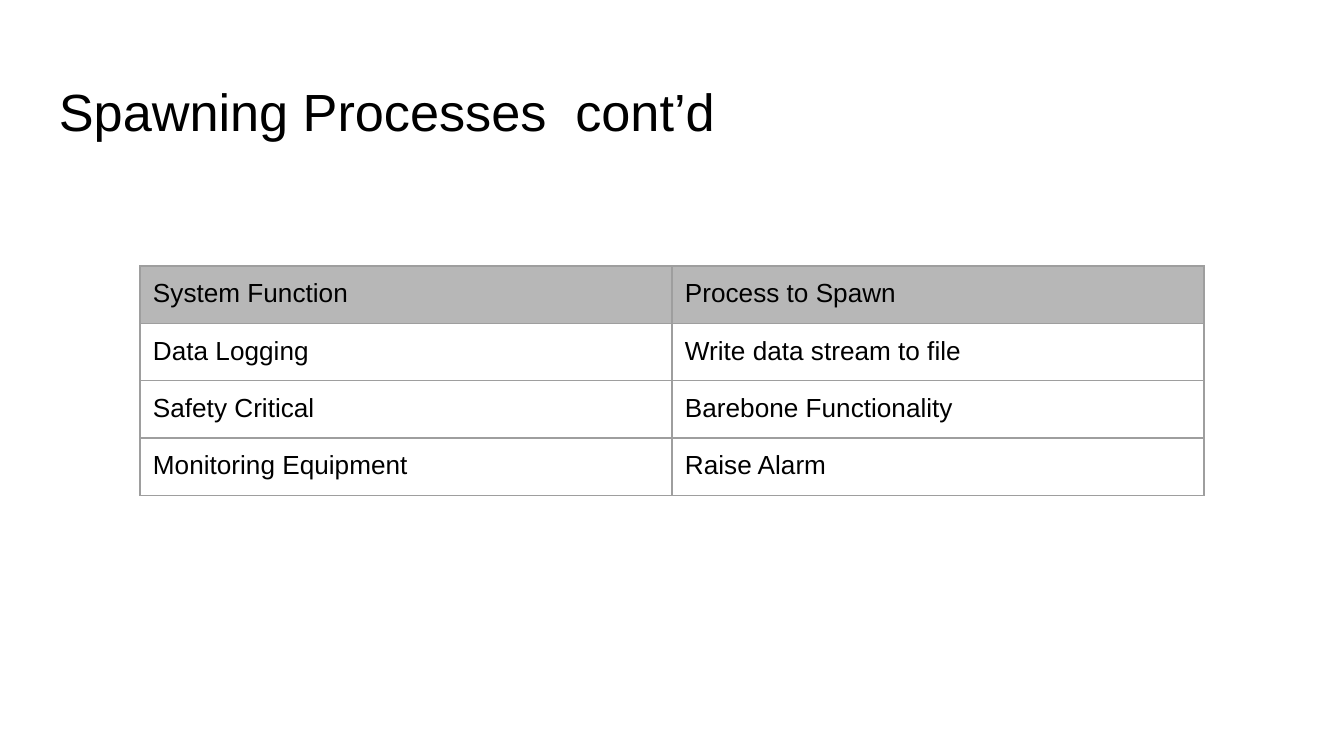
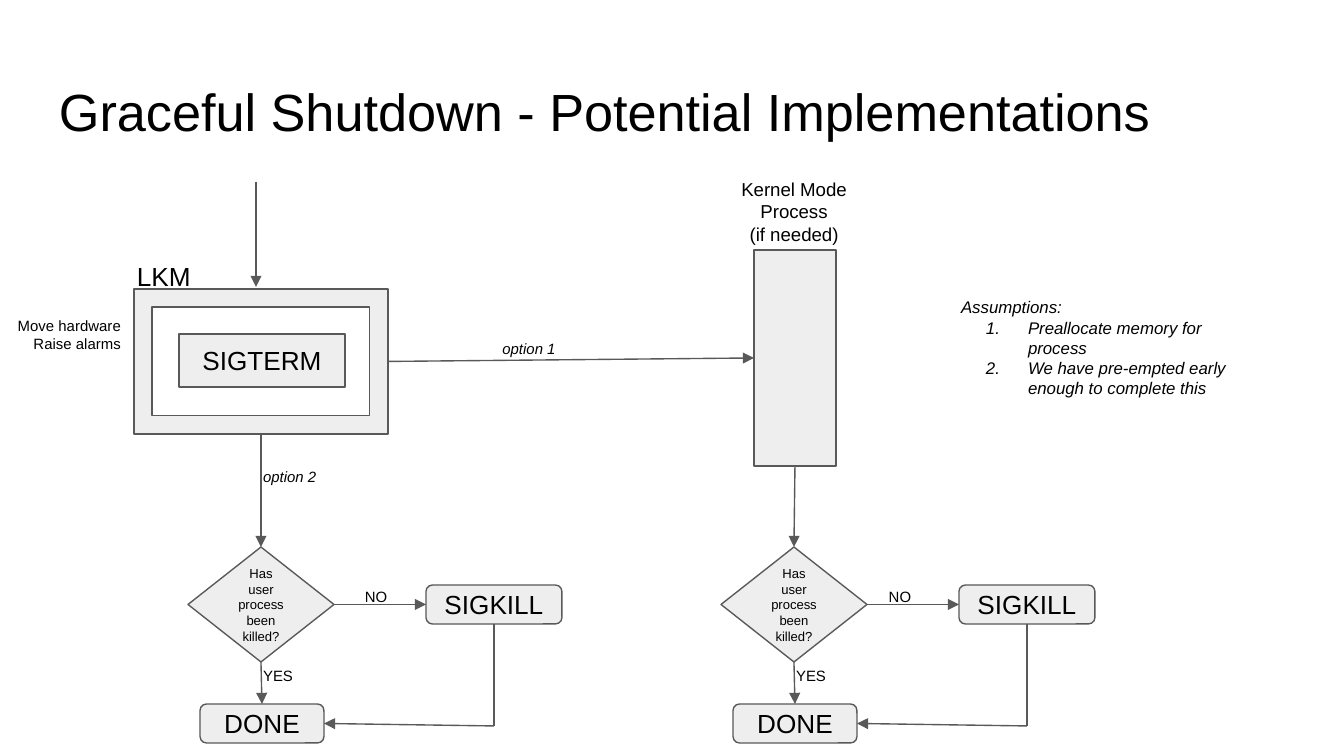
"""Builds two slides: a table of processes to spawn and a shutdown flowchart."""
from lxml.etree import SubElement
from pptx import Presentation
from pptx.dml.color import RGBColor
from pptx.enum.shapes import MSO_CONNECTOR, MSO_SHAPE
from pptx.enum.text import MSO_ANCHOR, PP_ALIGN
from pptx.oxml import parse_xml
from pptx.oxml.ns import nsdecls, qn
from pptx.util import Emu, Pt

COLORS = {"text": "000000", "fill": "EEEEEE", "line": "595959",
          "head": "B7B7B7", "grid": "9E9E9E"}
FONT = "Arial"
SIZE = (1344, 756)
INSET = 13
TITLE = (46, 66, 1253, 85)
LEFT, CENTER, RIGHT = PP_ALIGN.LEFT, PP_ALIGN.CENTER, PP_ALIGN.RIGHT
TOP, MID = MSO_ANCHOR.TOP, MSO_ANCHOR.MIDDLE
NORTH, WEST, SOUTH, EAST = range(4)

SPAWN = "Spawning Processes  cont’d"
ROWS = [
    ("System Function", "Process to Spawn"),
    ("Data Logging", "Write data stream to file"),
    ("Safety Critical", "Barebone Functionality"),
    ("Monitoring Equipment", "Raise Alarm"),
]
GRID = (140, 266)
CELL = (532, 56)

SHUT = "Graceful Shutdown - Potential Implementations"
LABELS = [
    (["LKM"], (124, 247, 87, 32), 14, LEFT, TOP, False),
    (["Kernel Mode", "Process", "(if needed)"], (698, 173, 192, 77), 10, CENTER, MID, False),
    (["Move hardware", "Raise alarms"], (4, 304, 130, 85), 8, RIGHT, TOP, False),
    (["option 1"], (484, 333, 90, 32), 8, CENTER, MID, True),
    (["option 2"], (250, 461, 90, 32), 8, LEFT, MID, True),
]
NOTES = ["Assumptions:", "Preallocate memory for process",
         "We have pre-empted early enough to complete this"]
NOTE_BOX = (948, 284, 297, 253)
FRAME = (134, 289, 254, 145)
TERM = (179, 334, 166, 53)
KERNEL = (754, 250, 82, 216)
ENTRY = ((256, 182), (256, 287))
ASK = (188, 547, 146, 115)
KILL = (426, 585, 136, 39)
DONE = (200, 704, 124, 39)
YES = (250, 660, 90, 32)
NO = (331, 581, 90, 32)
TURN = (494, 726)
BRANCH = 533
NO_STEP = 524


def px(n):
    return Emu(round(n * 914400 / 134.4))


def color(name):
    return RGBColor.from_string(COLORS[name])


def move(box, step):
    return (box[0] + step, *box[1:])


def style(frame, anchor):
    frame.word_wrap = True
    frame.vertical_anchor = anchor
    frame.margin_left = frame.margin_right = px(INSET)
    frame.margin_top = frame.margin_bottom = px(INSET)


def write(para, text, size, align=LEFT, slant=False):
    para.alignment = align
    run = para.add_run()
    run.text = text
    font = run.font
    font.name, font.size, font.italic = FONT, Pt(size), slant
    font.color.rgb = color("text")


def fill_text(frame, lines, size, align=LEFT, anchor=TOP, slant=False):
    style(frame, anchor)
    for i, line in enumerate(lines):
        para = frame.add_paragraph() if i else frame.paragraphs[0]
        write(para, line, size, align, slant)


def label(slide, lines, box, *look):
    frame = slide.shapes.add_textbox(*map(px, box)).text_frame
    fill_text(frame, lines, *look)
    return frame


def node(slide, kind, box, text="", size=14, adjust=None):
    shape = slide.shapes.add_shape(kind, *map(px, box))
    shape.shadow.inherit = False
    shape.fill.solid()
    shape.fill.fore_color.rgb = color("fill")
    shape.line.color.rgb = color("line")
    shape.line.width = Pt(0.75)
    if adjust:
        shape.adjustments[0] = adjust
    if text:
        fill_text(shape.text_frame, [text], size, CENTER, MID)
    return shape


def link(slide, start, end, arrow=True):
    ends = [(0, 0) if hasattr(e[0], "shape_id") else e for e in (start, end)]
    line = slide.shapes.add_connector(
        MSO_CONNECTOR.STRAIGHT, *(px(n) for e in ends for n in e))
    for spot, join in ((start, line.begin_connect), (end, line.end_connect)):
        if hasattr(spot[0], "shape_id"):
            join(*spot)
    line.line.color.rgb = color("line")
    line.line.width = Pt(0.75)
    props = line._element.spPr
    if arrow:
        SubElement(props.find(qn("a:ln")), qn("a:tailEnd"), type="triangle")
    SubElement(props, qn("a:effectLst"))


def edge(cell):
    props = cell._tc.get_or_add_tcPr()
    for i, side in enumerate("LRTB"):
        props.insert(i, parse_xml(
            f'<a:ln{side} {nsdecls("a")} w="9525"><a:solidFill>'
            f'<a:srgbClr val="{COLORS["grid"]}"/></a:solidFill></a:ln{side}>'))


def add_slide(deck, title):
    slide = deck.slides.add_slide(deck.slide_layouts[6])
    label(slide, [title], TITLE, 28)
    return slide


def spawn_slide(deck):
    slide = add_slide(deck, SPAWN)
    wide, high = CELL
    rows, cols = len(ROWS), len(ROWS[0])
    table = slide.shapes.add_table(
        rows, cols, *map(px, (*GRID, cols * wide, rows * high))).table
    table.first_row = table.horz_banding = False
    for col in table.columns:
        col.width = px(wide)
    for r, row in enumerate(ROWS):
        table.rows[r].height = px(high)
        for c, text in enumerate(row):
            cell = table.cell(r, c)
            if r:
                cell.fill.background()
            else:
                cell.fill.solid()
                cell.fill.fore_color.rgb = color("head")
            edge(cell)
            cell.margin_left = cell.margin_right = px(INSET)
            cell.margin_top = cell.margin_bottom = px(INSET)
            write(cell.text_frame.paragraphs[0], text, 14)


def add_notes(slide):
    frame = label(slide, NOTES, NOTE_BOX, 9, LEFT, TOP, True)
    for para in frame.paragraphs[1:]:
        props = para._p.get_or_add_pPr()
        props.set("marL", str(px(67)))
        props.set("indent", str(px(-42)))
        tint = SubElement(props, qn("a:buClr"))
        SubElement(tint, qn("a:srgbClr"), val=COLORS["text"])
        SubElement(props, qn("a:buFont"), typeface=FONT)
        SubElement(props, qn("a:buAutoNum"), type="arabicPeriod")


def add_branch(slide, source, step, no_step):
    ask = node(slide, MSO_SHAPE.DIAMOND, move(ASK, step),
               "Has user process been killed?", 7)
    kill, done = (node(slide, MSO_SHAPE.ROUNDED_RECTANGLE, move(box, step), text, 14, 0.167)
                  for box, text in ((KILL, "SIGKILL"), (DONE, "DONE")))
    turn = move(TURN, step)
    link(slide, (source, SOUTH), (ask, NORTH))
    link(slide, (ask, SOUTH), (done, NORTH))
    link(slide, (ask, EAST), (kill, WEST))
    link(slide, (kill, SOUTH), turn, arrow=False)
    link(slide, turn, (done, EAST))
    label(slide, ["NO"], move(NO, no_step), 8, CENTER, MID)
    label(slide, ["YES"], move(YES, step), 8, LEFT, MID)


def shutdown_slide(deck):
    slide = add_slide(deck, SHUT)
    frame = node(slide, MSO_SHAPE.FRAME, FRAME, adjust=0.125)
    node(slide, MSO_SHAPE.RECTANGLE, TERM, "SIGTERM")
    kernel = node(slide, MSO_SHAPE.RECTANGLE, KERNEL)
    link(slide, *ENTRY)
    link(slide, (frame, EAST), (kernel, WEST))
    add_branch(slide, frame, 0, 0)
    add_branch(slide, kernel, BRANCH, NO_STEP)
    for item in LABELS:
        label(slide, *item)
    add_notes(slide)


def main():
    deck = Presentation()
    deck.slide_width, deck.slide_height = map(px, SIZE)
    spawn_slide(deck)
    shutdown_slide(deck)
    deck.save("out.pptx")


if __name__ == "__main__":
    main()
